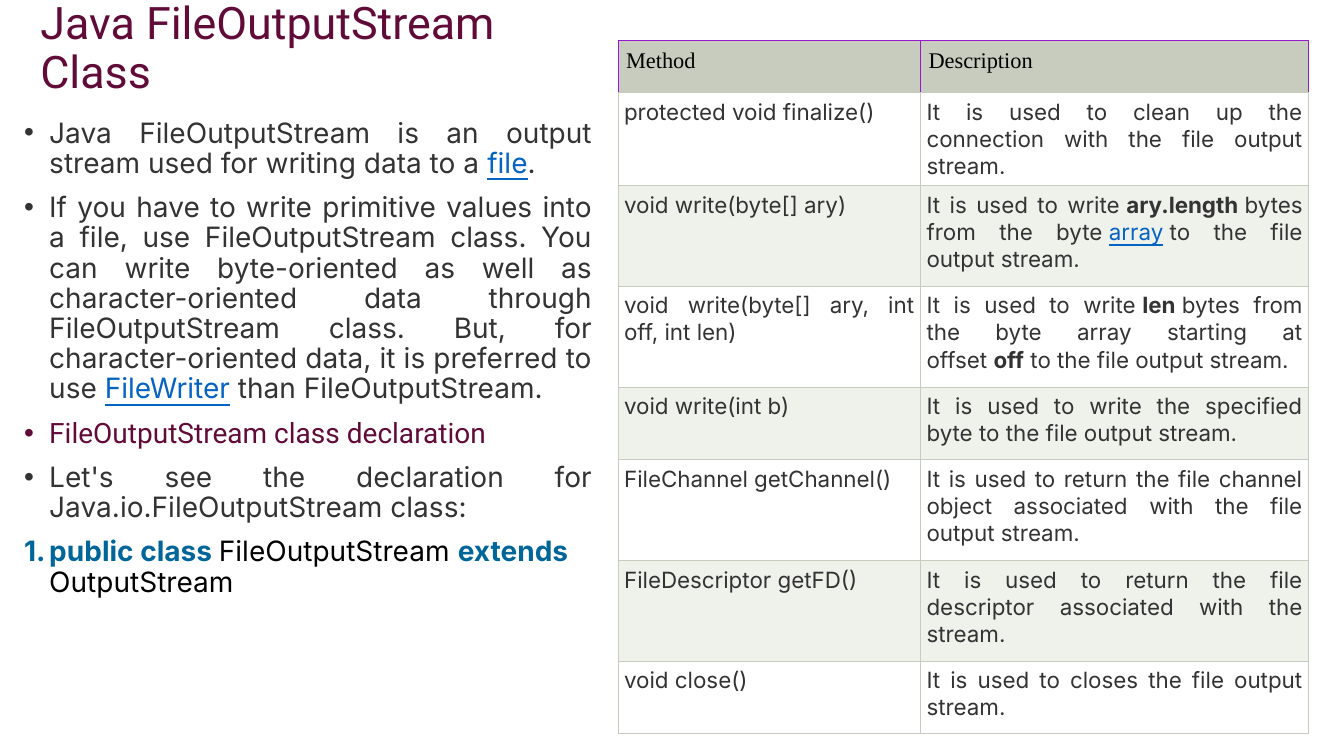
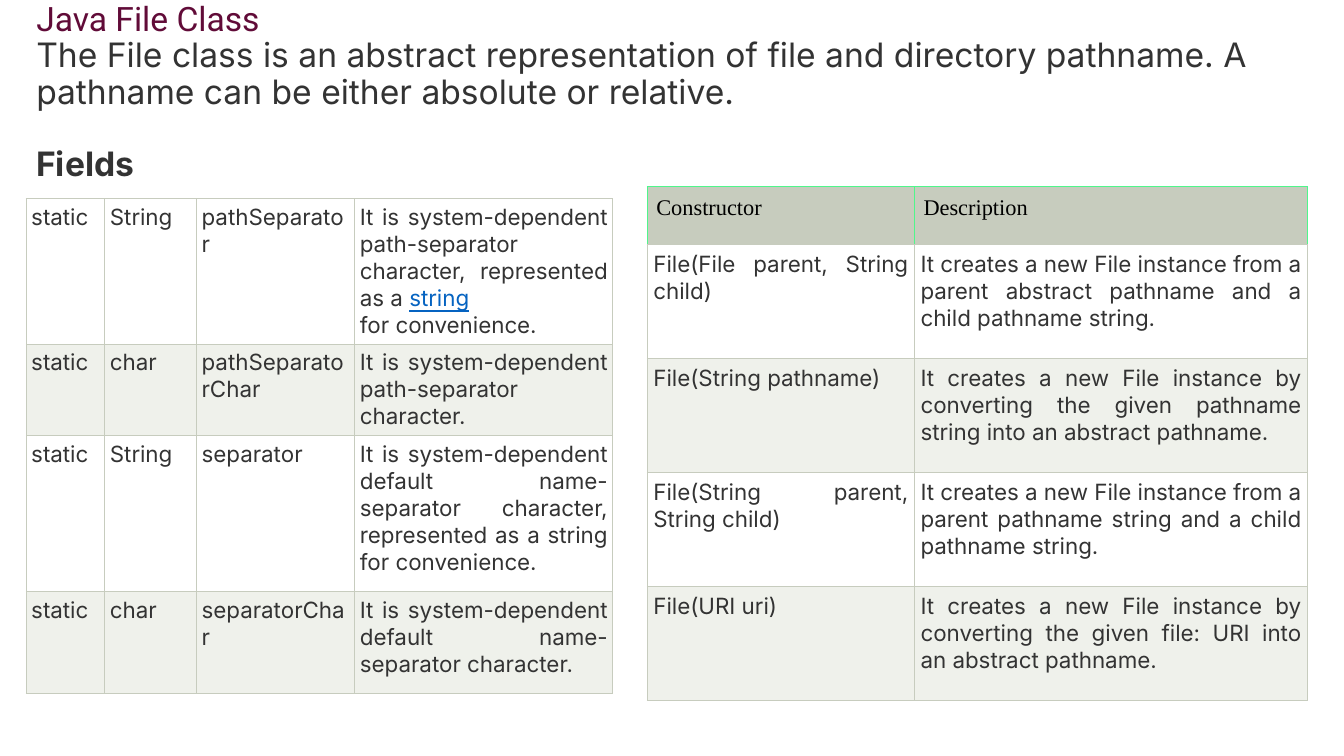
from dataclasses import dataclass
from lxml.etree import SubElement
from pptx import Presentation
from pptx.dml.color import RGBColor
from pptx.enum.text import MSO_ANCHOR, MSO_AUTO_SIZE, PP_ALIGN
from pptx.oxml import parse_xml
from pptx.oxml.ns import nsdecls, qn
from pptx.util import Inches, Pt


@dataclass(frozen=True)
class Theme:
    heading: str = "610B38"
    ink: str = "333333"
    black: str = "000000"
    link: str = "0563C1"
    keyword: str = "006699"
    rule: str = "C7CCBE"
    plain_row: str = "FFFFFF"
    shaded_row: str = "EFF1EB"
    methods_edge: str = "9819CD"
    constructors_edge: str = "50F68B"
    heading_font: str = "Roboto"
    body_font: str = "Inter"
    header_font: str = "Times New Roman"
    title_size: int = 32
    lead_size: int = 24
    body_size: int = 20
    cell_size: int = 16


theme = Theme()
linked_words = {"file", "FileWriter", "array", "string"}


def write(frame, text, size=theme.cell_size, font=theme.body_font, color=theme.ink,
          bold=False, accent=None, align=PP_ALIGN.JUSTIFY, spacing=None, before=0):
    paragraph = frame.add_paragraph() if frame.text else frame.paragraphs[0]
    paragraph.alignment = align
    paragraph.space_before = Pt(before)
    if spacing:
        paragraph.line_spacing = spacing
    for position, piece in enumerate(text.split("|")):
        if not piece:
            continue
        marked = position % 2 == 1
        linked = marked and piece in linked_words
        run = paragraph.add_run()
        run.text = piece
        run.font.size = Pt(size)
        run.font.name = font
        run.font.bold = bold or (marked and not linked)
        run.font.underline = linked
        shade = theme.link if linked else accent if marked and accent else color
        run.font.color.rgb = RGBColor.from_string(shade)
    return paragraph


def add_grid(slide, left, top, widths, heights, rows, inset, header_inset=None, edge=None):
    table = slide.shapes.add_table(
        len(rows), len(widths), Inches(left), Inches(top),
        Inches(sum(widths)), Inches(sum(heights))).table
    table.first_row = table.horz_banding = False
    for column, width in zip(table.columns, widths):
        column.width = Inches(width)
    for index, (height, texts) in enumerate(zip(heights, rows)):
        table.rows[index].height = Inches(height)
        header = edge is not None and index == 0
        body_index = index - 1 if edge else index
        band = theme.shaded_row if body_index % 2 else theme.plain_row
        for column, text in enumerate(texts):
            cell = table.cell(index, column)
            margin = Inches(header_inset if header else inset)
            cell.margin_left = cell.margin_right = margin
            cell.margin_top = cell.margin_bottom = margin
            cell.fill.solid()
            cell.fill.fore_color.rgb = RGBColor.from_string(theme.rule if header else band)
            for line in text.split("\n"):
                if header:
                    write(cell.text_frame, line, font=theme.header_font,
                          color=theme.black, align=PP_ALIGN.LEFT)
                else:
                    write(cell.text_frame, line)
            properties = cell._tc.get_or_add_tcPr()
            for order, side in enumerate(("lnL", "lnR", "lnT", "lnB")):
                color = edge if header and side != "lnB" else theme.rule
                properties.insert(order, parse_xml(
                    f'<a:{side} {nsdecls("a")} w="{Pt(0.75)}"><a:solidFill>'
                    f'<a:srgbClr val="{color}"/></a:solidFill></a:{side}>'))


deck = Presentation()
deck.slide_width, deck.slide_height = Inches(13.33), Inches(7.5)

heading = dict(font=theme.heading_font, color=theme.heading)
title_line = dict(align=PP_ALIGN.LEFT, spacing=0.9)
lead = dict(size=theme.lead_size, **title_line)

slides = []
for box, bottom_inset, lines in (
    ((0.3, 0.4, 5.67, 0.73), 0.6, (
        ("Java FileOutputStream Class", dict(size=theme.title_size, **heading, **title_line)),
    )),
    ((0.26, 0.4, 12.81, 1.45), 0.45, (
        ("Java File Class", dict(**heading, **lead)),
        ("The File class is an abstract representation of file and directory pathname. "
         "A pathname can be either absolute or relative.", lead),
        ("Fields", dict(bold=True, before=26, **lead)),
    )),
):
    slide = deck.slides.add_slide(deck.slide_layouts[5])
    title = slide.shapes.title
    title.left, title.top, title.width, title.height = map(Inches, box)
    title.text_frame.auto_size = MSO_AUTO_SIZE.NONE
    title.text_frame.word_wrap = True
    title.text_frame.vertical_anchor = MSO_ANCHOR.MIDDLE
    title.text_frame.margin_bottom = Inches(bottom_inset)
    for text, style in lines:
        write(title.text_frame, text, **style)
    slides.append(slide)
stream_slide, file_slide = slides

overview = stream_slide.shapes.add_textbox(
    Inches(0.14), Inches(1.13), Inches(5.83), Inches(5.62)).text_frame
overview.word_wrap = True
for text, style in (
    ("Java FileOutputStream is an output stream used for writing data to a\u00a0|file|.", {}),
    ("If you have to write primitive values into a file, use FileOutputStream class. "
     "You can write byte-oriented as well as character-oriented data through "
     "FileOutputStream class. But, for character-oriented data, it is preferred to "
     "use\u00a0|FileWriter|\u00a0than FileOutputStream.", {}),
    ("FileOutputStream class declaration", heading),
    ("Let's see the declaration for Java.io.FileOutputStream class:", {}),
    ("|public\u00a0class\u00a0|FileOutputStream\u00a0|extends\u00a0|OutputStream",
     dict(color=theme.black, accent=theme.keyword)),
):
    point = write(overview, text, size=theme.body_size, spacing=0.9, before=10, **style)
    layout = point._p.get_or_add_pPr()
    layout.set("marL", str(Inches(0.25)))
    layout.set("indent", str(-Inches(0.25)))
    if "accent" in style:
        SubElement(layout, qn("a:buFont"), typeface="+mj-lt")
        SubElement(layout, qn("a:buAutoNum"), type="arabicPeriod")
    else:
        SubElement(layout, qn("a:buFont"), typeface="Arial")
        SubElement(layout, qn("a:buChar"), char="•")

methods = (
    ("Method", "Description"),
    ("protected void finalize()",
     "It is used to clean up the connection with the file output stream."),
    ("void write(byte[] ary)",
     "It is used to write\u00a0|ary.length|\u00a0bytes from the byte\u00a0|array|"
     "\u00a0to the file output stream."),
    ("void write(byte[] ary, int off, int len)",
     "It is used to write\u00a0|len|\u00a0bytes from the byte array starting at "
     "offset\u00a0|off|\u00a0to the file output stream."),
    ("void write(int b)",
     "It is used to write the specified byte to the file output stream."),
    ("FileChannel getChannel()",
     "It is used to return the file channel object associated with the file output stream."),
    ("FileDescriptor getFD()",
     "It is used to return the file descriptor associated with the stream."),
    ("void close()", "It is used to closes the file output stream."),
)
add_grid(stream_slide, 6.13, 0.4, (3, 3.85), (0.52, 0.72, 1, 1, 0.72, 1, 1, 0.72),
         methods, inset=0.06, header_inset=0.08, edge=theme.methods_edge)

fields = (
    ("static", "String", "pathSeparator",
     "It is system-dependent path-separator character, represented as a\u00a0|string|\n"
     "for convenience."),
    ("static", "char", "pathSeparatorChar",
     "It is system-dependent path-separator character."),
    ("static", "String", "separator",
     "It is system-dependent default name-separator character, represented as a string "
     "for convenience."),
    ("static", "char", "separatorChar",
     "It is system-dependent default name-separator character."),
)
add_grid(file_slide, 0.26, 1.97, (0.78, 0.91, 1.57, 2.56), (1.37, 0.83, 1.55, 1.01),
         fields, inset=0.05)

constructors = (
    ("Constructor", "Description"),
    ("File(File parent, String child)",
     "It creates a new File instance from a parent abstract pathname and a child "
     "pathname string."),
    ("File(String pathname)",
     "It creates a new File instance by converting the given pathname string into an "
     "abstract pathname."),
    ("File(String parent, String child)",
     "It creates a new File instance from a parent pathname string and a child "
     "pathname string."),
    ("File(URI uri)",
     "It creates a new File instance by converting the given file: URI into an "
     "abstract pathname."),
)
add_grid(file_slide, 6.42, 1.85, (2.65, 3.9), (0.58,) + (1.13,) * 4,
         constructors, inset=0.06, header_inset=0.09, edge=theme.constructors_edge)

deck.save("out.pptx")
